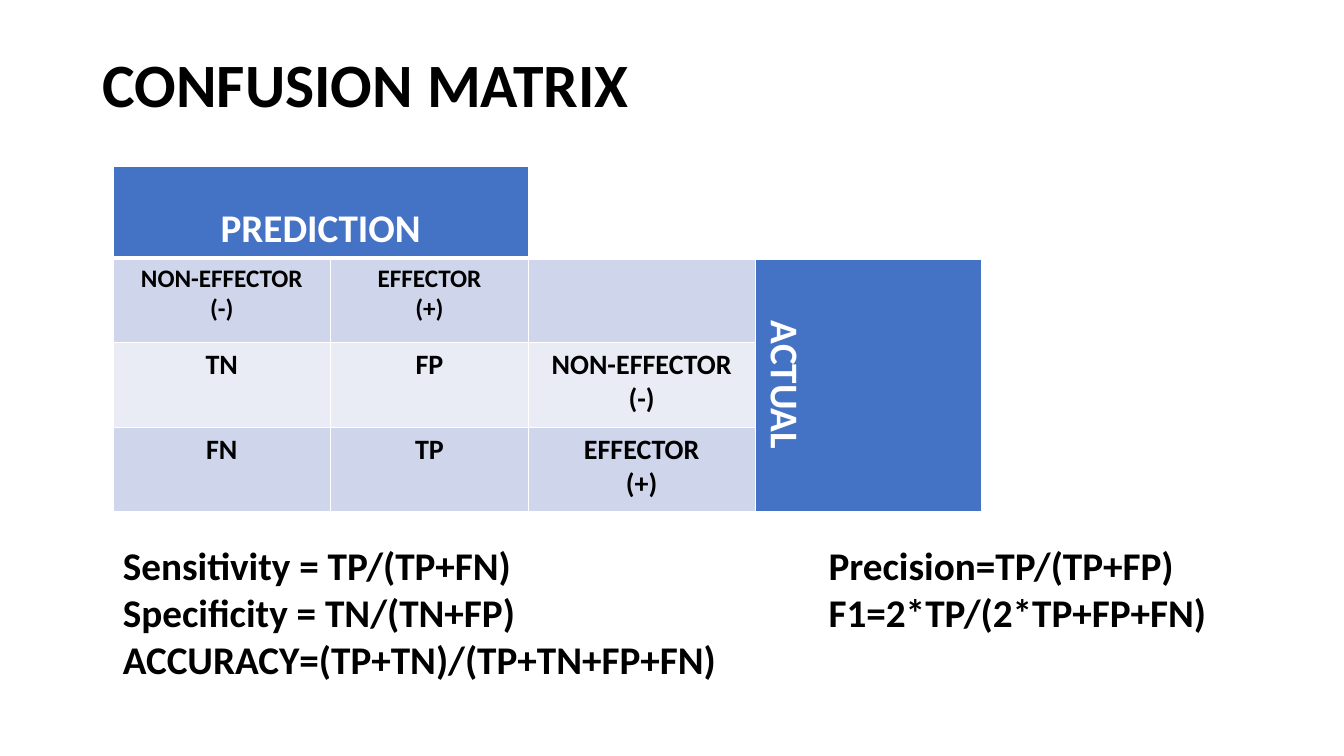
from typing import NamedTuple

from lxml.etree import SubElement
from pptx import Presentation
from pptx.dml.color import RGBColor
from pptx.enum.text import MSO_ANCHOR, PP_ALIGN
from pptx.oxml.ns import qn
from pptx.util import Pt

PX = 9144  # EMU per px, 100 px to the inch
FONT = "Calibri"
COLORS = {
    "text": "000000",
    "white": "FFFFFF",
    "banner": "4472C4",
    "dark_band": "CFD5EA",
    "light_band": "E9EBF5",
}
COLUMN_WIDTHS = [216, 196, 225, 225]
ROW_HEIGHTS = [91, 84, 84, 84]
FORMULA_TAB = 700


class MatrixCell(NamedTuple):
    row: int
    column: int
    text: str
    size: int
    fill: str
    color: str = "text"
    rows: int = 1
    columns: int = 1
    anchor: MSO_ANCHOR = MSO_ANCHOR.TOP
    vertical: bool = False


class TextBlock(NamedTuple):
    left: int
    top: int
    width: int
    height: int
    text: str
    size: int
    line_spacing: float = 1.0
    anchor: MSO_ANCHOR = MSO_ANCHOR.TOP


MATRIX = [
    MatrixCell(0, 0, "PREDICTION", 28, "banner", "white", columns=2,
               anchor=MSO_ANCHOR.BOTTOM),
    MatrixCell(1, 0, "NON-EFFECTOR\n(-)", 18, "dark_band"),
    MatrixCell(1, 1, "EFFECTOR\n(+)", 18, "dark_band"),
    MatrixCell(1, 2, "", 18, "dark_band"),
    MatrixCell(1, 3, "ACTUAL", 28, "banner", "white", rows=3,
               anchor=MSO_ANCHOR.BOTTOM, vertical=True),
    MatrixCell(2, 0, "TN", 20, "light_band"),
    MatrixCell(2, 1, "FP", 20, "light_band"),
    MatrixCell(2, 2, "NON-EFFECTOR\n(-)", 20, "light_band"),
    MatrixCell(3, 0, "FN", 20, "dark_band"),
    MatrixCell(3, 1, "TP", 20, "dark_band"),
    MatrixCell(3, 2, "EFFECTOR\n(+)", 20, "dark_band"),
]
TITLE = TextBlock(92, 40, 1150, 94, "CONFUSION MATRIX", 44, 0.9, MSO_ANCHOR.MIDDLE)
FORMULAS = TextBlock(
    112, 532, 1120, 151,
    "Sensitivity = TP/(TP+FN)\tPrecision=TP/(TP+FP)\n"
    "Specificity = TN/(TN+FP)\tF1=2*TP/(2*TP+FP+FN)\n"
    "ACCURACY=(TP+TN)/(TP+TN+FP+FN)", 28)


def style_font(paragraph, size: int, color: str) -> None:
    font_format = {"name": FONT, "size": Pt(size), "bold": True}
    for run in paragraph.runs:
        for attribute, value in font_format.items():
            setattr(run.font, attribute, value)
        run.font.color.rgb = RGBColor.from_string(COLORS[color])


def add_text(slide, block: TextBlock):
    box = slide.shapes.add_textbox(
        block.left * PX, block.top * PX, block.width * PX, block.height * PX)
    frame = box.text_frame
    frame.word_wrap = True
    frame.vertical_anchor = block.anchor
    frame.text = block.text
    for paragraph in frame.paragraphs:
        paragraph.line_spacing = block.line_spacing
        style_font(paragraph, block.size, "text")
    return frame


def add_tab_stop(paragraph, position: int) -> None:
    stops = SubElement(paragraph._p.get_or_add_pPr(), qn("a:tabLst"))
    SubElement(stops, qn("a:tab"), pos=str(position * PX), algn="l")


def add_borders(cell, widths: dict[str, int]) -> None:
    properties = cell._tc.get_or_add_tcPr()
    for side, width in widths.items():
        line = SubElement(properties, qn(f"a:{side}"), w=str(Pt(width)))
        fill = SubElement(line, qn("a:solidFill"))
        SubElement(fill, qn("a:srgbClr"), val=COLORS["white"])


def fill_cell(table, item: MatrixCell) -> None:
    cell = table.cell(item.row, item.column)
    if item.rows > 1 or item.columns > 1:
        cell.merge(table.cell(item.row + item.rows - 1,
                              item.column + item.columns - 1))
    cell.text = item.text
    cell.vertical_anchor = item.anchor
    if item.vertical:
        cell._tc.get_or_add_tcPr().set("vert", "vert")
    cell.fill.solid()
    cell.fill.fore_color.rgb = RGBColor.from_string(COLORS[item.fill])
    for paragraph in cell.text_frame.paragraphs:
        paragraph.alignment = PP_ALIGN.CENTER
        style_font(paragraph, item.size, item.color)


def add_matrix(slide, left: int, top: int) -> None:
    table = slide.shapes.add_table(
        len(ROW_HEIGHTS), len(COLUMN_WIDTHS), left * PX, top * PX,
        sum(COLUMN_WIDTHS) * PX, sum(ROW_HEIGHTS) * PX).table
    table.first_row = table.horz_banding = False
    for column, width in zip(table.columns, COLUMN_WIDTHS):
        column.width = width * PX
    for index, (row, height) in enumerate(zip(table.rows, ROW_HEIGHTS)):
        row.height = height * PX
        widths = {"lnL": 1, "lnR": 1,
                  "lnT": 3 if index == 1 else 1,
                  "lnB": 3 if index == 0 else 1}
        for cell in row.cells:
            add_borders(cell, widths)
            cell.fill.background()
    for item in MATRIX:
        fill_cell(table, item)


def main() -> None:
    presentation = Presentation()
    presentation.slide_width = 1333 * PX
    presentation.slide_height = 750 * PX
    slide = presentation.slides.add_slide(presentation.slide_layouts[6])
    add_text(slide, TITLE)
    add_matrix(slide, 112, 165)
    formulas = add_text(slide, FORMULAS)
    for paragraph in formulas.paragraphs:
        add_tab_stop(paragraph, FORMULA_TAB)
    presentation.save("out.pptx")


if __name__ == "__main__":
    main()
